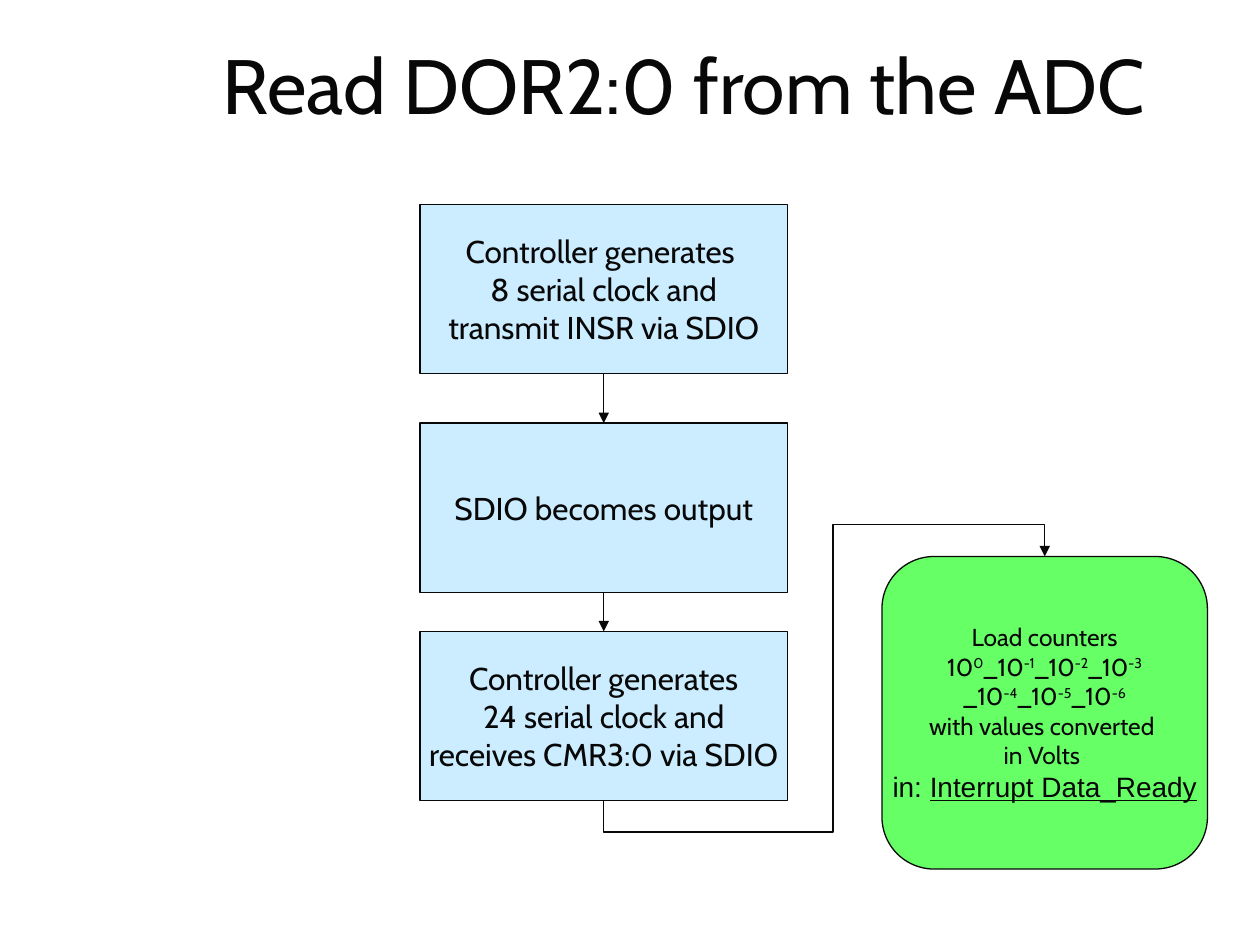
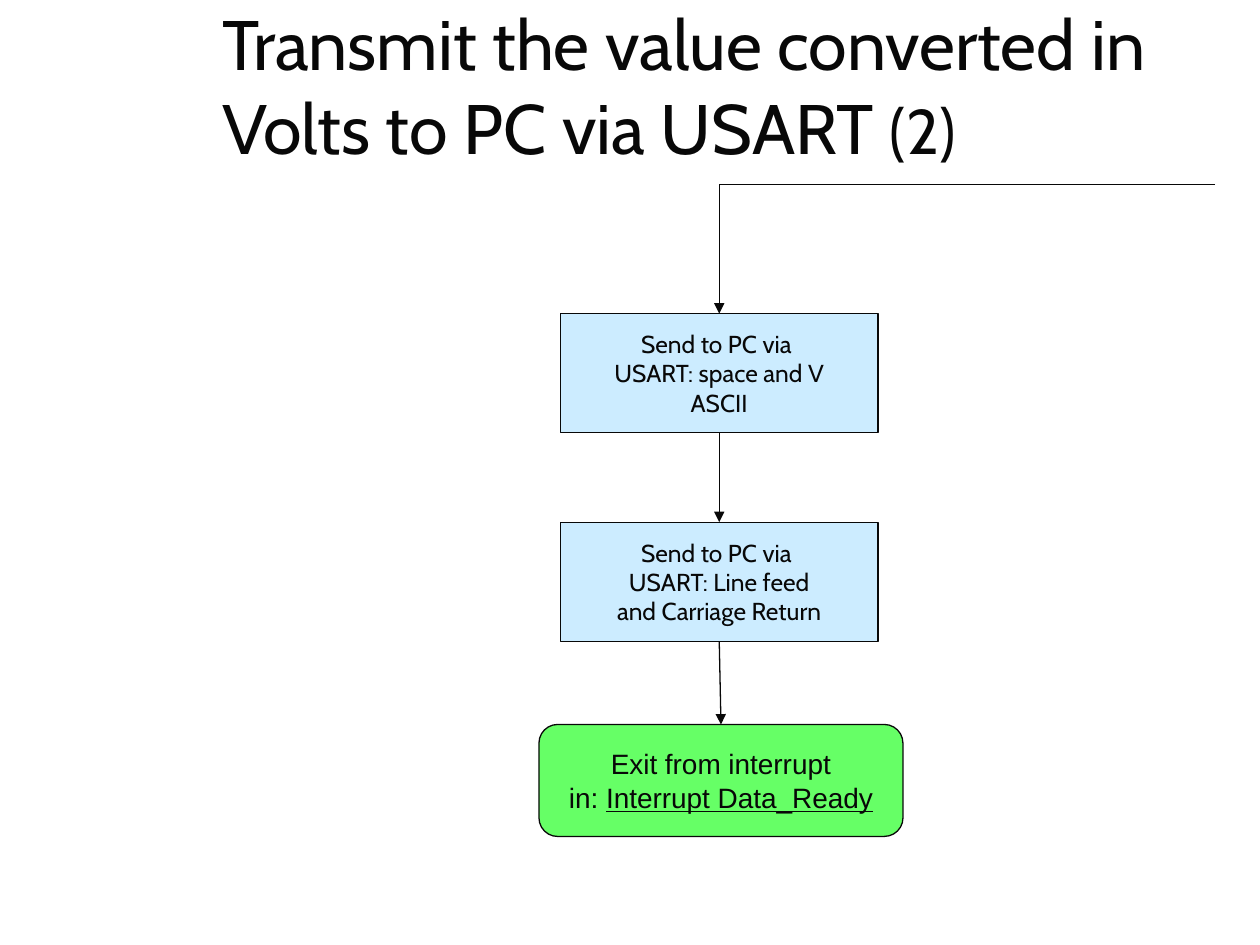
from dataclasses import dataclass

from lxml import etree
from pptx import Presentation
from pptx import util as u
from pptx.dml.color import RGBColor
from pptx.enum import shapes, text
from pptx.oxml import ns

Pt = u.Pt
TOP, BOTTOM = 0, 2


@dataclass(frozen=True)
class Theme:
    ink: str = "080808"
    step: str = "CCECFF"
    link: str = "66FF66"
    font: str = "Cabin"
    link_font: str = "Arial"
    title: int = 44
    long_title: int = 40
    suffix: int = 36
    large: int = 18
    medium: int = 16
    small: int = 14
    line: float = 0.75


THEME = Theme()


def add_run(p, words, *, size, font=THEME.font, color=THEME.ink,
            underline=False, superscript=False):
    r = p.add_run()
    r.text = words
    r.font.size = Pt(size)
    r.font.name = font
    r.font.color.rgb = RGBColor.from_string(color)
    if underline:
        r.font.underline = True
    if superscript:
        r.font._element.set("baseline", "30000")
    return r


class Deck:
    """Holds the theme and the slide being built."""

    def __init__(self, prs, theme):
        self.prs, self.theme, self.s = prs, theme, None

    def new_slide(self):
        self.s = self.prs.slides.add_slide(self.prs.slide_layouts[6])

    def fill_text(self, tf, lines, align, **fmt):
        """Each line is a string or a list of (text, format) runs."""
        tf.vertical_anchor = text.MSO_ANCHOR.MIDDLE
        for i, line in enumerate(lines):
            p = tf.paragraphs[0] if i == 0 else tf.add_paragraph()
            p.alignment = align
            runs = [(line, {})] if isinstance(line, str) else line
            for words, extra in runs:
                add_run(p, words, **{**fmt, **extra})

    def title(self, line, size):
        sp = self.s.shapes.add_textbox(Pt(120), Pt(6), Pt(581), Pt(84))
        sp.text_frame.word_wrap = True
        self.fill_text(sp.text_frame, [line], text.PP_ALIGN.LEFT, size=size)

    def box(self, kind, fill, left, top, width, height, lines, **fmt):
        sp = self.s.shapes.add_shape(kind, Pt(left), Pt(top), Pt(width), Pt(height))
        sp.shadow.inherit = False
        sp.fill.solid()
        sp.fill.fore_color.rgb = RGBColor.from_string(fill)
        self.outline(sp.line)
        sp.text_frame.word_wrap = False
        self.fill_text(sp.text_frame, lines, text.PP_ALIGN.CENTER, **fmt)
        return sp

    def step(self, *args, **fmt):
        return self.box(shapes.MSO_SHAPE.FLOWCHART_PROCESS, self.theme.step, *args, **fmt)

    def link(self, *args, **fmt):
        return self.box(shapes.MSO_SHAPE.FLOWCHART_ALTERNATE_PROCESS,
                        self.theme.link, *args, **fmt)

    def outline(self, line):
        line.color.rgb = RGBColor.from_string(self.theme.ink)
        line.width = Pt(self.theme.line)

    def connector(self, kind, start, end):
        """Arrow from the bottom of start to the top of end."""
        c = self.s.shapes.add_connector(kind, 0, 0, 0, 0)
        if start is not None:
            c.begin_connect(start, BOTTOM)
        c.end_connect(end, TOP)
        self.outline(c.line)
        ln = c._element.spPr.find(ns.qn("a:ln"))
        etree.SubElement(ln, ns.qn("a:tailEnd"), type="triangle")
        etree.SubElement(c._element.spPr, ns.qn("a:effectLst"))
        return c

    def arrow(self, start, end):
        return self.connector(shapes.MSO_CONNECTOR.STRAIGHT, start, end)

    def elbow(self, preset, start, end, frame, rotation, flips, adjust=()):
        """Bent arrow; frame is left, top, width, height before rotation."""
        c = self.connector(shapes.MSO_CONNECTOR.ELBOW, start, end)
        c.left, c.top, c.width, c.height = map(Pt, frame)
        xfrm = c._element.spPr.find(ns.qn("a:xfrm"))
        xfrm.set("rot", str(rotation * 60000))
        for axis in "HV":
            xfrm.set("flip" + axis, str(int(axis in flips)))
        geom = c._element.spPr.find(ns.qn("a:prstGeom"))
        geom.set("prst", preset)
        guides = geom.find(ns.qn("a:avLst"))
        for i, share in enumerate(adjust, 1):
            etree.SubElement(guides, ns.qn("a:gd"), name=f"adj{i}",
                             fmla=f"val {round(share * 100000)}")
        return c


def powers(exponents):
    """Runs for powers of ten joined by underscores."""
    runs = []
    for n in exponents:
        runs += [("10" if n == 0 else "_10", {}), (str(-n), {"superscript": True})]
    return runs


def interrupt_line(theme):
    fmt = {"size": theme.medium, "font": theme.link_font}
    return [("in: ", fmt), ("Interrupt Data_Ready", {**fmt, "underline": True})]


def read_slide(deck):
    t = deck.theme
    deck.new_slide()
    deck.title("Read DOR2:0 from the ADC", t.title)

    # Steps
    steps = [
        (116.8, ["Controller generates ", "8 serial clock and", "transmit INSR via SDIO"]),
        (241.8, ["SDIO becomes output"]),
        (360.8, ["Controller generates", "24 serial clock and", "receives CMR3:0 via SDIO"]),
    ]
    boxes = [deck.step(240, top, 210, 96.6, lines, size=t.large) for top, lines in steps]

    # Result
    result = deck.link(504, 318, 186, 178.6, [
        "Load counters", powers(range(4)), powers(range(4, 7)),
        "with values converted ", "in Volts ", interrupt_line(t)], size=t.small)

    # Arrows
    for start, end in zip(boxes, boxes[1:]):
        deck.arrow(start, end)
    deck.elbow("bentConnector5", boxes[-1], result, (401.3, 261.7, 139.4, 252),
               90, "HV", (-0.13, 0.52, 1.13))


def transmit_slide(deck):
    t = deck.theme
    deck.new_slide()
    deck.title([("Transmit the value converted in Volts to PC via USART ", {}),
                ("(2)", {"size": t.suffix})], t.long_title)

    # Steps
    steps = [
        (179.2, ["Send to PC via ", "USART: space and V", "ASCII"]),
        (298.4, ["Send to PC via ", "USART: Line feed", "and Carriage Return"]),
    ]
    boxes = [deck.step(320.2, top, 181.6, 68, lines, size=t.small) for top, lines in steps]

    # Exit
    boxes.append(deck.link(308, 414, 208, 64, ["Exit from interrupt", interrupt_line(t)],
                           size=t.medium, font=t.link_font))

    # Arrows
    deck.elbow("bentConnector2", None, boxes[0], (411, 105.4, 283.4, 73.8), 180, "V")
    for start, end in zip(boxes, boxes[1:]):
        deck.arrow(start, end)


def main():
    prs = Presentation()
    prs.slide_width, prs.slide_height = Pt(720), Pt(540)
    deck = Deck(prs, THEME)
    read_slide(deck)
    transmit_slide(deck)
    prs.save("out.pptx")


if __name__ == "__main__":
    main()
